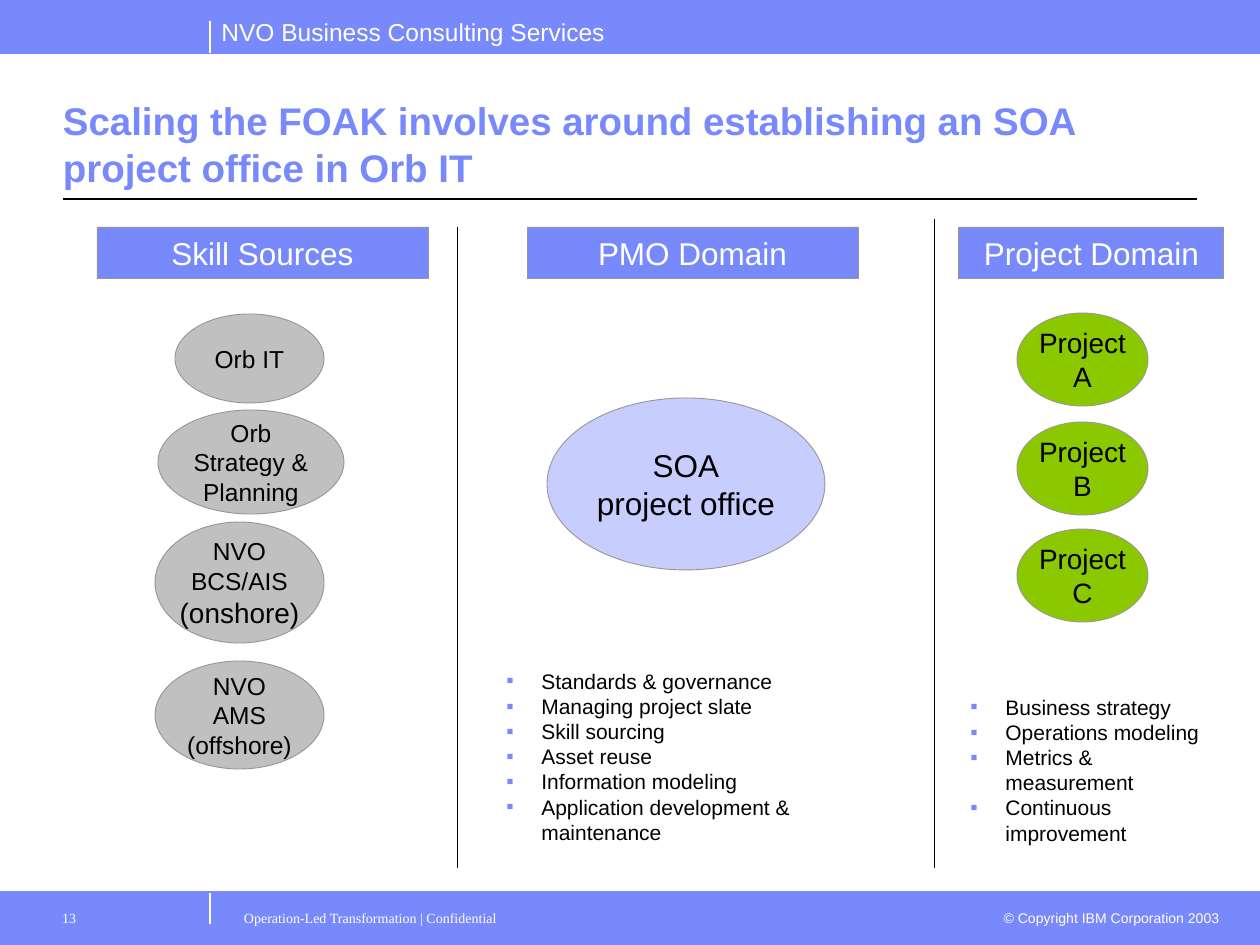
"""Build the SOA project office slide: skill sources, PMO domain and project domain."""
from lxml import etree
from pptx import Presentation
from pptx import util as u
from pptx.dml.color import RGBColor
from pptx.enum import shapes, text
from pptx.oxml import ns

PX = 914400 / 126
BLUE = RGBColor(0x78, 0x89, 0xFB)
PALE = RGBColor(0xC7, 0xCD, 0xFD)
GREEN = RGBColor(0x8C, 0xC8, 0x00)
SILVER = RGBColor(0xC0, 0xC0, 0xC0)
GREY = RGBColor(0x96, 0x96, 0x96)
WHITE = RGBColor(0xFF, 0xFF, 0xFF)
BLACK = RGBColor(0x00, 0x00, 0x00)
MIDDLE, TOP, BOTTOM = text.MSO_ANCHOR.MIDDLE, text.MSO_ANCHOR.TOP, text.MSO_ANCHOR.BOTTOM
LEFT, CENTER, RIGHT = text.PP_ALIGN.LEFT, text.PP_ALIGN.CENTER, text.PP_ALIGN.RIGHT
RECT, OVAL = shapes.MSO_SHAPE.RECTANGLE, shapes.MSO_SHAPE.OVAL

prs = Presentation()
prs.slide_width, prs.slide_height = u.Inches(10), u.Inches(7.5)
s = prs.slides.add_slide(prs.slide_layouts[6])


def add_box(kind, area, fill=None, edge=GREY, width=0.5):
    pos = [round(v * PX) for v in area]
    if kind is None:
        return s.shapes.add_textbox(*pos)
    sp = s.shapes.add_shape(kind, *pos)
    sp.shadow.inherit = False
    sp.fill.solid()
    sp.fill.fore_color.rgb = fill
    sp.line.color.rgb = edge
    sp.line.width = u.Pt(width)
    return sp


def write(sp, words, size, color=BLACK, align=CENTER, anchor=MIDDLE, wrap=False, font="Arial"):
    tf = sp.text_frame
    tf.text = words
    tf.word_wrap = wrap
    tf.vertical_anchor = anchor
    for p in tf.paragraphs:
        p.alignment = align
        for r in p.runs:
            r.font.name = font
            r.font.size = u.Pt(size)
            r.font.color.rgb = color
    return tf


for top in (892, 0):
    add_box(RECT, (0, top, 1260, 53), BLUE, BLUE, 0.75)

for x1, y1, x2, y2, color, width in (
    (210, 53, 210, 21, WHITE, 0.75),
    (210, 924, 210, 892, WHITE, 0.75),
    (0, 53, 1260, 53, BLUE, 0.5),
    (0, 892, 1260, 892, BLUE, 0.5),
    (63, 199, 1197, 199, BLACK, 0.75),
    (457, 227, 457, 868, BLACK, 0.5),
    (934, 219, 934, 868, BLACK, 0.5),
):
    ends = [round(v * PX) for v in (x1, y1, x2, y2)]
    line = s.shapes.add_connector(shapes.MSO_CONNECTOR.STRAIGHT, *ends)
    line.line.color.rgb = color
    line.line.width = u.Pt(width)
    etree.SubElement(line._element.spPr, ns.qn("a:effectLst"))

write(add_box(None, (209, 11, 480, 42)), "NVO Business Consulting Services", 14, WHITE, LEFT, TOP, True)
write(add_box(None, (987, 903, 245, 30)), "© Copyright IBM Corporation 2003", 8, WHITE, RIGHT, TOP, True)

tf = write(add_box(None, (63, 80, 1134, 116)),
           "Scaling the FOAK involves around establishing an SOA project office in Orb IT",
           22, BLUE, LEFT, BOTTOM, True)
tf.margin_left = tf.margin_right = 0
tf.paragraphs[0].runs[0].font.bold = True

for left, width, words in ((97, 331, "Skill Sources"), (527, 331, "PMO Domain"), (959, 265, "Project Domain")):
    write(add_box(RECT, (left, 227, width, 52), BLUE), words, 18, WHITE)

write(add_box(OVAL, (547, 398, 278, 172), PALE), "SOA\nproject office", 18)

for top, letter in ((313, "A"), (422, "B"), (529, "C")):
    write(add_box(OVAL, (1017, top, 131, 93), GREEN), f"Project\n{letter}", 16)

for area, words in (
    ((175, 314, 149, 89), "Orb IT"),
    ((158, 410, 186, 104), "Orb\nStrategy &\nPlanning"),
    ((155, 522, 169, 121), "NVO\nBCS/AIS\n(onshore)"),
    ((155, 661, 169, 108), "NVO\nAMS\n(offshore)"),
):
    tf = write(add_box(OVAL, area, SILVER), words, 14)
    if "onshore" in words:
        tf.paragraphs[-1].runs[0].font.size = u.Pt(16)

pmo_tasks = ("Standards & governance", "Managing project slate", "Skill sourcing", "Asset reuse",
             "Information modeling", "Application development & maintenance")
project_tasks = ("Business strategy", "Operations modeling", "Metrics & measurement", "Continuous improvement")
for area, tasks in (((494, 662, 414, 164), pmo_tasks), ((958, 688, 273, 114), project_tasks)):
    tf = write(add_box(None, area), "\n".join(tasks), 12, BLACK, LEFT, TOP, True)
    for p in tf.paragraphs:
        pPr = p._p.get_or_add_pPr()
        pPr.set("marL", str(round(35 * PX)))
        pPr.set("indent", str(round(-35 * PX)))
        color = etree.SubElement(pPr, ns.qn("a:buClr"))
        etree.SubElement(color, ns.qn("a:srgbClr"), val=str(BLUE))
        etree.SubElement(pPr, ns.qn("a:buFont"), typeface="Arial")
        etree.SubElement(pPr, ns.qn("a:buChar"), char="▪")

for area, words, inset in (
    ((231, 901, 756, 44), "Operation-Led Transformation | Confidential", 13),
    ((42, 901, 168, 44), "13", 20),
):
    tf = write(add_box(None, area), words, 8, WHITE, LEFT, TOP, True, "Times New Roman")
    tf.margin_left = round(inset * PX)
    tf.margin_top = round(9 * PX)

prs.save("out.pptx")
